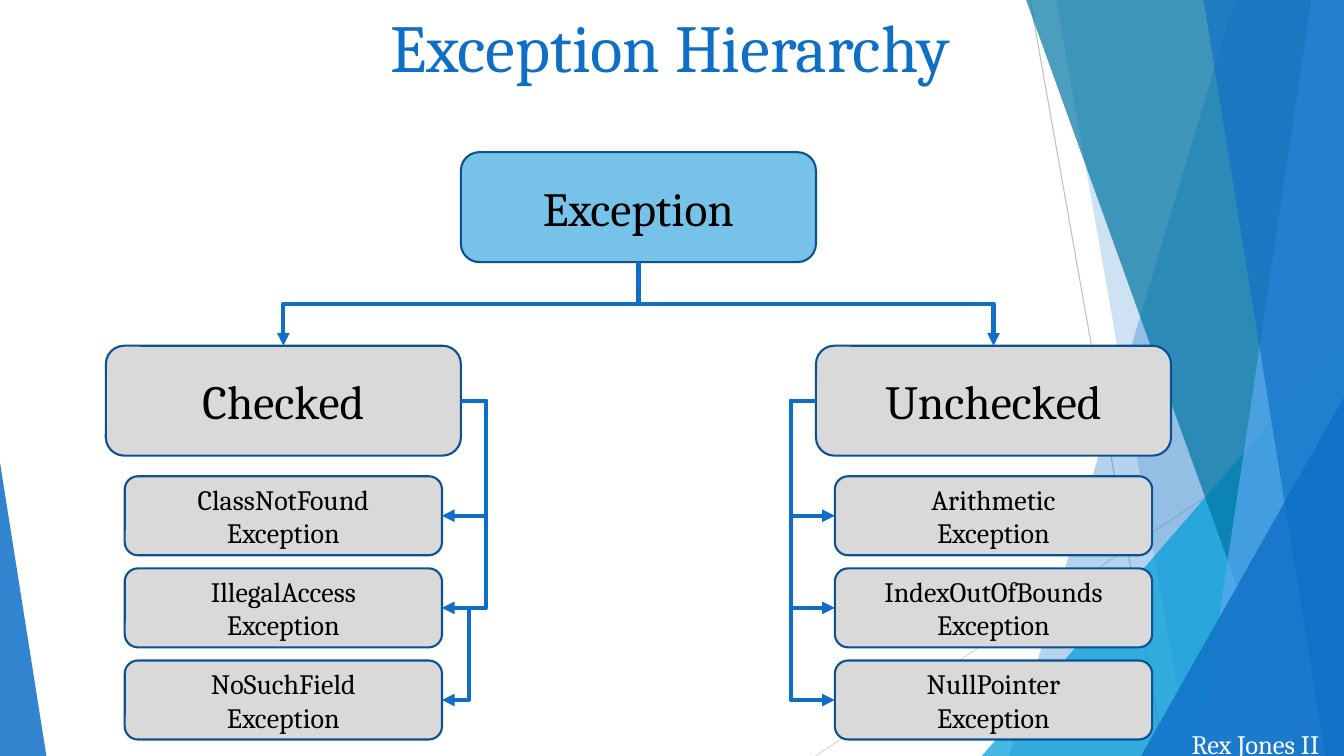
from dataclasses import dataclass

from pptx import Presentation
from pptx.dml.color import RGBColor
from pptx.enum.shapes import MSO_CONNECTOR, MSO_SHAPE
from pptx.enum.text import MSO_ANCHOR, PP_ALIGN
from pptx.oxml.ns import qn
from pptx.shapes.autoshape import Shape
from pptx.shapes.connector import Connector
from pptx.slide import Slide
from pptx.util import Emu, Inches, Pt
from lxml.etree import SubElement

COLUMNS, ROWS = 160, 90
UNIT = Inches(7.5) // ROWS
TOP, LEFT, BOTTOM, RIGHT = range(4)


@dataclass(frozen=True)
class Theme:
    font: str = "Cambria"
    blue: str = "0F6FC6"
    outline: str = "0B5292"
    cyan: str = "009DD9"
    teal: str = "0076A3"
    sky: str = "59AAF2"
    root: str = "77C2E8"
    gray: str = "D9D9D9"
    hairline: str = "BFBFBF"
    black: str = "000000"
    white: str = "FFFFFF"
    title_pt: int = 48
    node_pt: int = 34
    leaf_pt: int = 20
    author_pt: int = 19


THEME = Theme()


@dataclass(frozen=True)
class Area:
    col: float
    row: float
    cols: float
    rows: float

    def emu(self) -> tuple[Emu, Emu, Emu, Emu]:
        return grid(self.col), grid(self.row), grid(self.cols), grid(self.rows)


@dataclass(frozen=True)
class Facet:
    points: tuple[tuple[float, float], ...]
    color: str
    opacity: int


@dataclass(frozen=True)
class Wedge:
    area: Area
    apex: float
    color: str
    opacity: int


@dataclass(frozen=True)
class Branch:
    name: str
    column: int
    side: int
    leaves: tuple[str, str, str]


RAYS = (
    ((122.64, 0), (138.6, ROWS), THEME.hairline),
    ((159.6, 48.48), (97.08, ROWS), THEME.gray),
)
EDGE = ((COLUMNS, 0), (COLUMNS, ROWS))
BACKDROP = (
    Facet(((147, 0), *EDGE, (120.12, ROWS)), THEME.blue, 30),
    Facet(((125.76, 0), *EDGE, (141.6, ROWS)), THEME.blue, 20),
    Wedge(Area(116.88, 40.08, 43.12, 49.92), 1, THEME.cyan, 72),
    Facet(((122.16, 0), *EDGE, (154.56, ROWS)), THEME.teal, 70),
    Facet(((156.12, 0), *EDGE, (142.68, ROWS)), THEME.sky, 70),
    Facet(((143.28, 0), *EDGE, (157.8, ROWS)), THEME.blue, 65),
    Wedge(Area(135.84, 47.28, 24.16, 42.72), 1, THEME.blue, 80),
    Wedge(Area(-0.36, 52.8, 5.88, 37.2), 0, THEME.blue, 85),
)
BRANCHES = (
    Branch("Checked", 0, RIGHT, ("ClassNotFound\nException",
                                 "IllegalAccess\nException",
                                 "NoSuchField\nException")),
    Branch("Unchecked", 2, LEFT, ("Arithmetic\nException",
                                  "IndexOutOfBounds\nException",
                                  "NullPointer\nException")),
)
MARGIN, NODE_COLS, NODE_ROWS = 12.6, 42.27, 13.08
ROOT_ROW, BRANCH_ROW = 18.12, 41.16
INSET, LEAF_ROW, LEAF_PITCH, LEAF_ROWS = 2.25, 56.7, 10.97, 9.4
TRUNK_GAP = 3
SHORT_TRUNK_COL = 55.8


def grid(cells: float) -> Emu:
    return Emu(round(cells * UNIT))


def paint(sp: Shape, color: str, opacity: int = 100) -> None:
    sp.shadow.inherit = False
    sp.fill.solid()
    sp.fill.fore_color.rgb = RGBColor.from_string(color)
    sp.line.fill.background()
    if opacity < 100:
        rgb = sp._element.spPr.find(qn("a:solidFill")).find(qn("a:srgbClr"))
        SubElement(rgb, qn("a:alpha"), val=str(opacity * 1000))


def write(sp: Shape, text: str, *, size: int, color: str,
          anchor: MSO_ANCHOR = MSO_ANCHOR.TOP, wrap: bool = True) -> None:
    tf = sp.text_frame
    tf.word_wrap = wrap
    tf.vertical_anchor = anchor
    p = tf.paragraphs[0]
    p.text = text.replace("\n", "\v")
    p.alignment = PP_ALIGN.CENTER
    for r in p.runs:
        r.font.name = THEME.font
        r.font.size = Pt(size)
        r.font.color.rgb = RGBColor.from_string(color)


def stroke(cxn: Connector, color: str, width: float, arrow: bool = False) -> None:
    cxn.line.color.rgb = RGBColor.from_string(color)
    cxn.line.width = Pt(width)
    if arrow:
        SubElement(cxn.line._get_or_add_ln(), qn("a:tailEnd"), type="triangle")
    SubElement(cxn._element.spPr, qn("a:effectLst"))


def draw_backdrop(s: Slide) -> None:
    for start, end, color in RAYS:
        ends = [grid(v) for v in (*start, *end)]
        stroke(s.shapes.add_connector(MSO_CONNECTOR.STRAIGHT, *ends), color, 0.75)
    for part in BACKDROP:
        if isinstance(part, Wedge):
            sp = s.shapes.add_shape(MSO_SHAPE.ISOSCELES_TRIANGLE, *part.area.emu())
            sp.adjustments[0] = part.apex
        else:
            first, *rest = [(grid(x), grid(y)) for x, y in part.points]
            outline = s.shapes.build_freeform(*first)
            outline.add_line_segments(rest, close=True)
            sp = outline.convert_to_shape()
        paint(sp, part.color, part.opacity)


def add_box(s: Slide, area: Area, text: str, size: int, fill: str) -> Shape:
    sp = s.shapes.add_shape(MSO_SHAPE.ROUNDED_RECTANGLE, *area.emu())
    paint(sp, fill)
    sp.line.color.rgb = RGBColor.from_string(THEME.outline)
    sp.line.width = Pt(1.5)
    write(sp, text, size=size, color=THEME.black, anchor=MSO_ANCHOR.MIDDLE)
    return sp


def add_node(s: Slide, column: int, row: float, text: str, fill: str) -> Shape:
    area = Area(MARGIN + column * NODE_COLS, row, NODE_COLS, NODE_ROWS)
    return add_box(s, area, text, THEME.node_pt, fill)


def add_elbow(s: Slide, child: Shape, child_side: int, parent: Shape | None = None,
              parent_side: int = BOTTOM, start: tuple[int, int] = (0, 0),
              bend: float = 0.5, downward: bool = False) -> None:
    cxn = s.shapes.add_connector(MSO_CONNECTOR.ELBOW, *start, *start)
    if parent is not None:
        cxn.begin_connect(parent, parent_side)
    cxn.end_connect(child, child_side)
    geom = cxn._element.spPr.find(qn("a:prstGeom"))
    if parent is None:
        geom.set("prst", "bentConnector2")
    else:
        SubElement(geom.find(qn("a:avLst")), qn("a:gd"),
                   name="adj1", fmla=f"val {round(bend * 100000)}")
    if downward:
        turn_downward(cxn)
    stroke(cxn, THEME.blue, 3, arrow=True)


def turn_downward(cxn: Connector) -> None:
    leftward = cxn.end_x < cxn.begin_x
    x, y, w, h = cxn.left, cxn.top, cxn.width, cxn.height
    xfrm = cxn._element.spPr.find(qn("a:xfrm"))
    xfrm.set("rot", str((90 if leftward else 270) * 60000))
    xfrm.set("flipH", "0" if leftward else "1")
    cxn.left, cxn.top = Emu(x + (w - h) // 2), Emu(y + (h - w) // 2)
    cxn.width, cxn.height = h, w


def draw_branch(s: Slide, root: Shape, branch: Branch) -> None:
    node = add_node(s, branch.column, BRANCH_ROW, branch.name, THEME.gray)
    add_elbow(s, node, TOP, root, BOTTOM, downward=True)
    leaf_col = MARGIN + branch.column * NODE_COLS + INSET
    leaves = [add_box(s, Area(leaf_col, LEAF_ROW + i * LEAF_PITCH,
                              NODE_COLS - 2 * INSET, LEAF_ROWS),
                      text, THEME.leaf_pt, THEME.gray)
              for i, text in enumerate(branch.leaves)]
    direct = leaves[:2] if branch.side == RIGHT else leaves
    for leaf in direct:
        add_elbow(s, leaf, branch.side, node, branch.side, bend=-TRUNK_GAP / INSET)
    for leaf in leaves[len(direct):]:
        above = direct[-1]
        start = (grid(SHORT_TRUNK_COL), above.top + above.height // 2)
        add_elbow(s, leaf, branch.side, start=start, downward=True)


def main() -> None:
    prs = Presentation()
    prs.slide_width, prs.slide_height = grid(COLUMNS), grid(ROWS)
    s = prs.slides.add_slide(prs.slide_layouts[6])
    draw_backdrop(s)
    author = s.shapes.add_textbox(*Area(139.44, 86.04, 20.04, 5.04).emu())
    write(author, "Rex Jones II", size=THEME.author_pt, color=THEME.white, wrap=False)
    title = s.shapes.add_textbox(*Area(0, 0, 159.5, 20.88).emu())
    write(title, "Exception Hierarchy", size=THEME.title_pt, color=THEME.blue)
    root = add_node(s, 1, ROOT_ROW, "Exception", THEME.root)
    for branch in BRANCHES:
        draw_branch(s, root, branch)
    prs.save("out.pptx")


if __name__ == "__main__":
    main()
